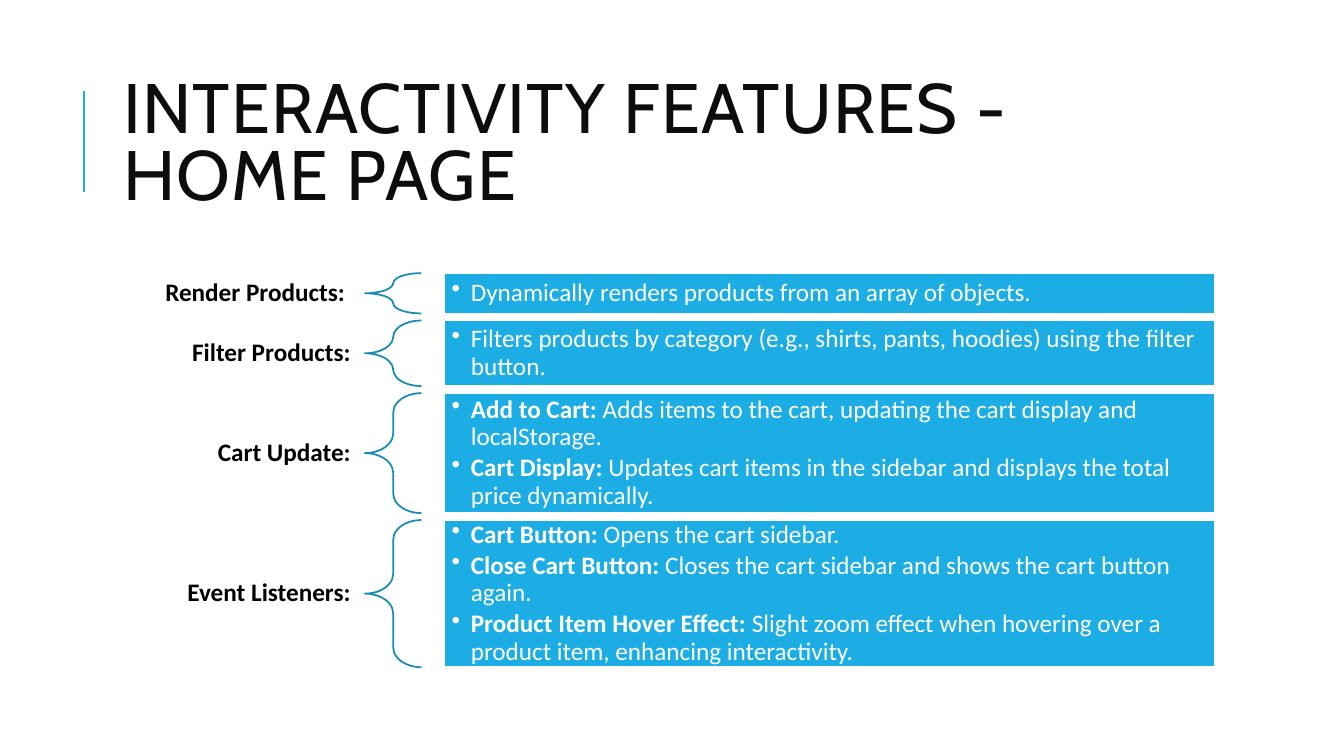
import pptx
import pptx.dml.color
import pptx.enum.shapes
import pptx.enum.text
import pptx.oxml
import pptx.oxml.ns
import pptx.util
from dataclasses import dataclass

PX = 9144  # EMU per px, 100 px to the inch
SHAPES = pptx.enum.shapes.MSO_SHAPE
ALIGN = pptx.enum.text.PP_ALIGN
MIDDLE = pptx.enum.text.MSO_ANCHOR.MIDDLE
NS = pptx.oxml.ns.nsdecls("a")


@dataclass
class Theme:
    accent: str = "1CADE4"
    brace: str = "168BB7"
    title: str = "0D0D0D"
    label: str = "000000"
    light: str = "FFFFFF"
    title_font: str = "Cabin"
    body_font: str = "Calibri"
    title_size: int = 50
    body_size: int = 18
    rule_width: float = 1.5
    outline_width: float = 1.25


def px(*lengths):
    return [pptx.util.Emu(length * PX) for length in lengths]


def rgb(colour):
    return pptx.dml.color.RGBColor.from_string(colour)


def add_span(para, text, *, font, size, colour, bold=False, tracking=None):
    span = para.add_run()
    span.text = text
    span.font.name = font
    span.font.size = pptx.util.Pt(size)
    span.font.bold = bold
    span.font.color.rgb = rgb(colour)
    if tracking is not None:
        span.font._element.set("spc", str(tracking))
    return span


class SlideBuilder:
    def __init__(self, deck, theme):
        self.theme = theme
        self.page = deck.slides.add_slide(deck.slide_layouts[5])

    def frame(self, box, margins):
        frame = box.text_frame
        frame.word_wrap = True
        frame.auto_size = pptx.enum.text.MSO_AUTO_SIZE.NONE
        frame.vertical_anchor = MIDDLE
        side, edge = px(*margins)
        frame.margin_left = frame.margin_right = side
        frame.margin_top = frame.margin_bottom = edge
        return frame

    def title(self, text, left, top, width, height):
        box = self.page.shapes.title
        box.left, box.top, box.width, box.height = px(left, top, width, height)
        para = self.frame(box, (10, 5)).paragraphs[0]
        para.alignment = ALIGN.LEFT
        para.line_spacing = 0.8
        add_span(para, text, font=self.theme.title_font, size=self.theme.title_size,
                 colour=self.theme.title, tracking=100)

    def rule(self, x, top, bottom):
        line = self.page.shapes.add_connector(
            pptx.enum.shapes.MSO_CONNECTOR.STRAIGHT, *px(x, bottom, x, top))
        line.line.color.rgb = rgb(self.theme.accent)
        line.line.width = pptx.util.Pt(self.theme.rule_width)
        line._element.spPr.append(pptx.oxml.parse_xml(f"<a:effectLst {NS}/>"))

    def shape(self, kind, left, top, width, height, *, outline, fill=None):
        shape = self.page.shapes.add_shape(kind, *px(left, top, width, height))
        shape.shadow.inherit = False
        if fill:
            shape.fill.solid()
            shape.fill.fore_color.rgb = rgb(fill)
        else:
            shape.fill.background()
        shape.line.color.rgb = rgb(outline)
        shape.line.width = pptx.util.Pt(self.theme.outline_width)
        return shape

    def label(self, text, left, top, width, height):
        box = self.page.shapes.add_textbox(*px(left, top, width, height))
        para = self.frame(box, (14, 5)).paragraphs[0]
        para.alignment = ALIGN.RIGHT
        para.line_spacing = 0.9
        add_span(para, text, font=self.theme.body_font, size=self.theme.body_size,
                 colour=self.theme.label, bold=True)

    def brace(self, left, top, width, height):
        brace = self.shape(SHAPES.LEFT_BRACE, left, top, width, height,
                           outline=self.theme.brace)
        brace.adjustments[0] = 0.35
        brace.adjustments[1] = 0.5

    def bullet_panel(self, items, left, top, width, height):
        panel = self.shape(SHAPES.RECTANGLE, left, top, width, height,
                           outline=self.theme.light, fill=self.theme.accent)
        frame = self.frame(panel, (7, 7))
        for index, (lead, detail) in enumerate(items):
            para = frame.add_paragraph() if index else frame.paragraphs[0]
            self.bullet(para)
            for text, bold in ((lead, True), (detail, False)):
                if text:
                    add_span(para, text, font=self.theme.body_font,
                             size=self.theme.body_size, colour=self.theme.light, bold=bold)

    def bullet(self, para):
        props = para._p.get_or_add_pPr()
        indent = 19 * PX
        props.set("marL", str(indent))
        props.set("indent", str(-indent))
        props.append(pptx.oxml.parse_xml(f'<a:buChar {NS} char="•"/>'))
        para.alignment = ALIGN.LEFT
        para.line_spacing = 0.9
        para.space_after = pptx.util.Pt(self.theme.body_size * 0.15)


# Each feature: label, height of its row, (bold lead, detail) bullets
FEATURES = [
    ("Render Products: ", 40, [
        ("", "Dynamically renders products from an array of objects.")]),
    ("Filter Products:", 65, [
        ("", "Filters products by category (e.g., shirts, pants, hoodies) "
             "using the filter button.")]),
    ("Cart Update:", 119, [
        ("Add to Cart:", " Adds items to the cart, updating the cart display "
                         "and localStorage."),
        ("Cart Display:", " Updates cart items in the sidebar and displays the "
                          "total price dynamically.")]),
    ("Event Listeners:", 146, [
        ("Cart Button:", " Opens the cart sidebar."),
        ("Close Cart Button:", " Closes the cart sidebar and shows the cart "
                               "button again."),
        ("Product Item Hover Effect: ", "Slight zoom effect when hovering over a "
                                        "product item, enhancing interactivity.")]),
]
FIRST_TOP, ROW_GAP, LABEL_HEIGHT = 271, 7, 39


def main():
    deck = pptx.Presentation()
    deck.slide_width, deck.slide_height = px(1333, 750)
    slide = SlideBuilder(deck, Theme())

    # Heading with its accent rule
    slide.rule(83, 90, 190)
    slide.title("INTERACTIVITY FEATURES - HOME PAGE", 112, 64, 1063, 164)

    # Feature rows: label, brace, bullet panel
    top = FIRST_TOP
    for name, height, items in FEATURES:
        slide.label(name, 81, top + (height - LABEL_HEIGHT) // 2, 281, LABEL_HEIGHT)
        slide.brace(362, top, 56, height)
        slide.bullet_panel(items, 441, top, 764, height)
        top += height + ROW_GAP

    deck.save("out.pptx")


if __name__ == "__main__":
    main()
